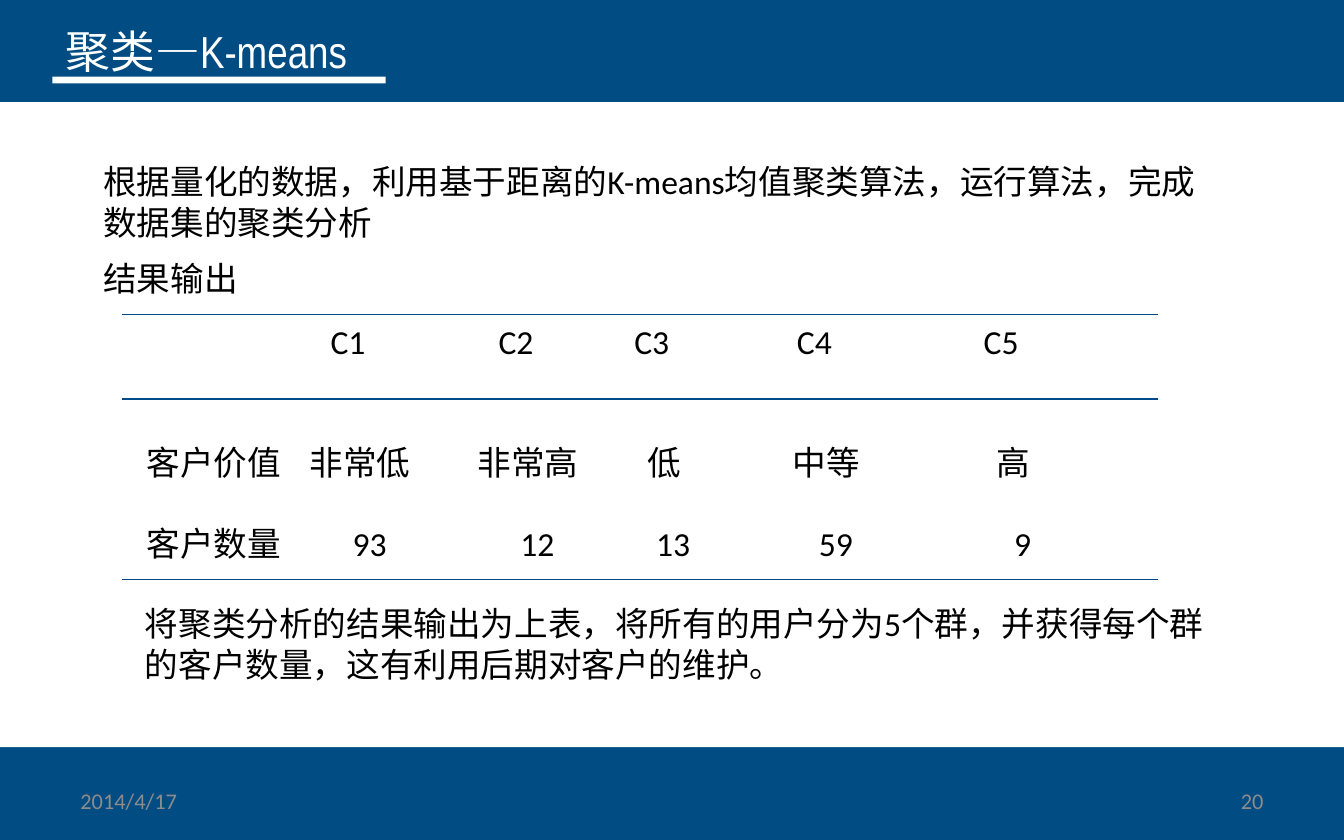
from lxml.etree import SubElement
from pptx import Presentation
from pptx.dml.color import RGBColor
from pptx.enum.shapes import MSO_CONNECTOR, MSO_SHAPE
from pptx.enum.text import MSO_ANCHOR, PP_ALIGN
from pptx.oxml.ns import qn
from pptx.util import Inches, Pt

COLORS = {
    "band": "014C83",
    "rule": "004A8B",
    "white": "FFFFFF",
    "black": "000000",
    "footer": "8C8C8C",
}

# Square grid: 100 columns by 62.5 rows
SLIDE_WIDTH, SLIDE_HEIGHT = Inches(10), Inches(6.25)
UNIT = SLIDE_WIDTH / 100

CLUSTERS = [
    ["", "C1", "C2", "C3", "C4", "C5"],
    ["客户价值", "非常低", "非常高", "低", "中等", "高"],
    ["客户数量", "93", "12", "13", "59", "9"],
]
TABLE_LEFT, TABLE_TOP = 9.1, 23.4
COLUMN_WIDTHS = [11.9, 11.6, 13.4, 6.8, 17.4, 16]
ROW_HEIGHTS = [6.3, 7.4, 6]
LABEL_INDENT = 1.8
LAST_COLUMN_PADDING = 5.6
ROW_SHIFTS = [-0.9, 0, 0.7]


def grid(units):
    return round(units * UNIT)


def color(name):
    return RGBColor.from_string(COLORS[name])


def write(frame, text, size=18, font="Calibri", ink="black", align=PP_ALIGN.LEFT):
    """Fill a text frame, one paragraph for each line of the text."""
    for index, line in enumerate(text.split("\n")):
        paragraph = frame.add_paragraph() if index else frame.paragraphs[0]
        paragraph.alignment = align
        run = paragraph.add_run()
        run.text = line
        run.font.size = Pt(size)
        run.font.name = font
        run.font.color.rgb = color(ink)


def add_text(slide, text, left, top, width, height, anchor=MSO_ANCHOR.TOP, **text_format):
    box = slide.shapes.add_textbox(grid(left), grid(top), grid(width), grid(height))
    box.text_frame.word_wrap = True
    box.text_frame.vertical_anchor = anchor
    write(box.text_frame, text, **text_format)


def add_panel(slide, left, top, width, height, fill="white"):
    shape = slide.shapes.add_shape(
        MSO_SHAPE.RECTANGLE, grid(left), grid(top), grid(width), grid(height))
    shape.shadow.inherit = False
    shape.fill.solid()
    shape.fill.fore_color.rgb = color(fill)
    shape.line.fill.background()


def add_rule(slide, left, top, width):
    rule = slide.shapes.add_connector(
        MSO_CONNECTOR.STRAIGHT, grid(left), grid(top), grid(left + width), grid(top))
    rule.line.color.rgb = color("rule")
    rule.line.width = Pt(0.75)
    SubElement(rule._element.spPr, qn("a:effectLst"))


def add_cluster_table(slide):
    width = sum(COLUMN_WIDTHS)
    table = slide.shapes.add_table(
        len(CLUSTERS), len(COLUMN_WIDTHS), grid(TABLE_LEFT), grid(TABLE_TOP),
        grid(width), grid(sum(ROW_HEIGHTS))).table
    table.first_row = table.horz_banding = False
    for column, column_width in zip(table.columns, COLUMN_WIDTHS):
        column.width = grid(column_width)

    last = len(COLUMN_WIDTHS) - 1
    for row, values in enumerate(CLUSTERS):
        table.rows[row].height = grid(ROW_HEIGHTS[row])
        shift = ROW_SHIFTS[row]
        for column, value in enumerate(values):
            cell = table.cell(row, column)
            cell.fill.background()
            cell.vertical_anchor = MSO_ANCHOR.BOTTOM if row else MSO_ANCHOR.TOP
            cell.margin_top, cell.margin_bottom = grid(0.6), grid(1)
            # A margin on one side moves centred values by half its size
            cell.margin_left = grid(max(2 * shift, 0) if column else LABEL_INDENT)
            cell.margin_right = grid(
                (max(-2 * shift, 0) if column else 0)
                + (LAST_COLUMN_PADDING if column == last else 0))
            write(cell.text_frame, value,
                  align=PP_ALIGN.CENTER if column else PP_ALIGN.LEFT)

    # Rules above and below the header, and under the last row
    for top in (0, ROW_HEIGHTS[0], sum(ROW_HEIGHTS)):
        add_rule(slide, TABLE_LEFT, TABLE_TOP + top, width)


def main():
    presentation = Presentation()
    presentation.slide_width, presentation.slide_height = SLIDE_WIDTH, SLIDE_HEIGHT
    slide = presentation.slides.add_slide(presentation.slide_layouts[6])

    # Blue background with a white content area
    slide.background.fill.solid()
    slide.background.fill.fore_color.rgb = color("band")
    add_panel(slide, 0, 7.6, 100, 48)

    # Title and its underline
    add_text(slide, "聚类—K-means", 3.9, 1.3, 29.5, 5,
             size=24, font="Arial Narrow", ink="white")
    add_panel(slide, 3.9, 5.7, 24.8, 0.5)

    # Introduction
    add_text(slide, "根据量化的数据，利用基于距离的K-means均值聚类算法，运行算法，完成数据集的聚类分析",
             6.7, 11.5, 85.1, 7.1)
    add_text(slide, "结果输出", 6.7, 18.7, 41, 4)

    # Results and conclusion
    add_cluster_table(slide)
    add_text(slide, "将聚类分析的结果输出为上表，将所有的用户分为5个群，并获得每个群\n"
             "的客户数量，这有利用后期对客户的维护。", 9.8, 44.4, 81.1, 10.3)

    # Footer
    footer = {"anchor": MSO_ANCHOR.MIDDLE, "size": 12, "ink": "footer"}
    add_text(slide, "2014/4/17", 5, 57.9, 23.3, 3.3, **footer)
    add_text(slide, "20", 71.7, 57.9, 23.3, 3.3, align=PP_ALIGN.RIGHT, **footer)

    presentation.save("out.pptx")


if __name__ == "__main__":
    main()
